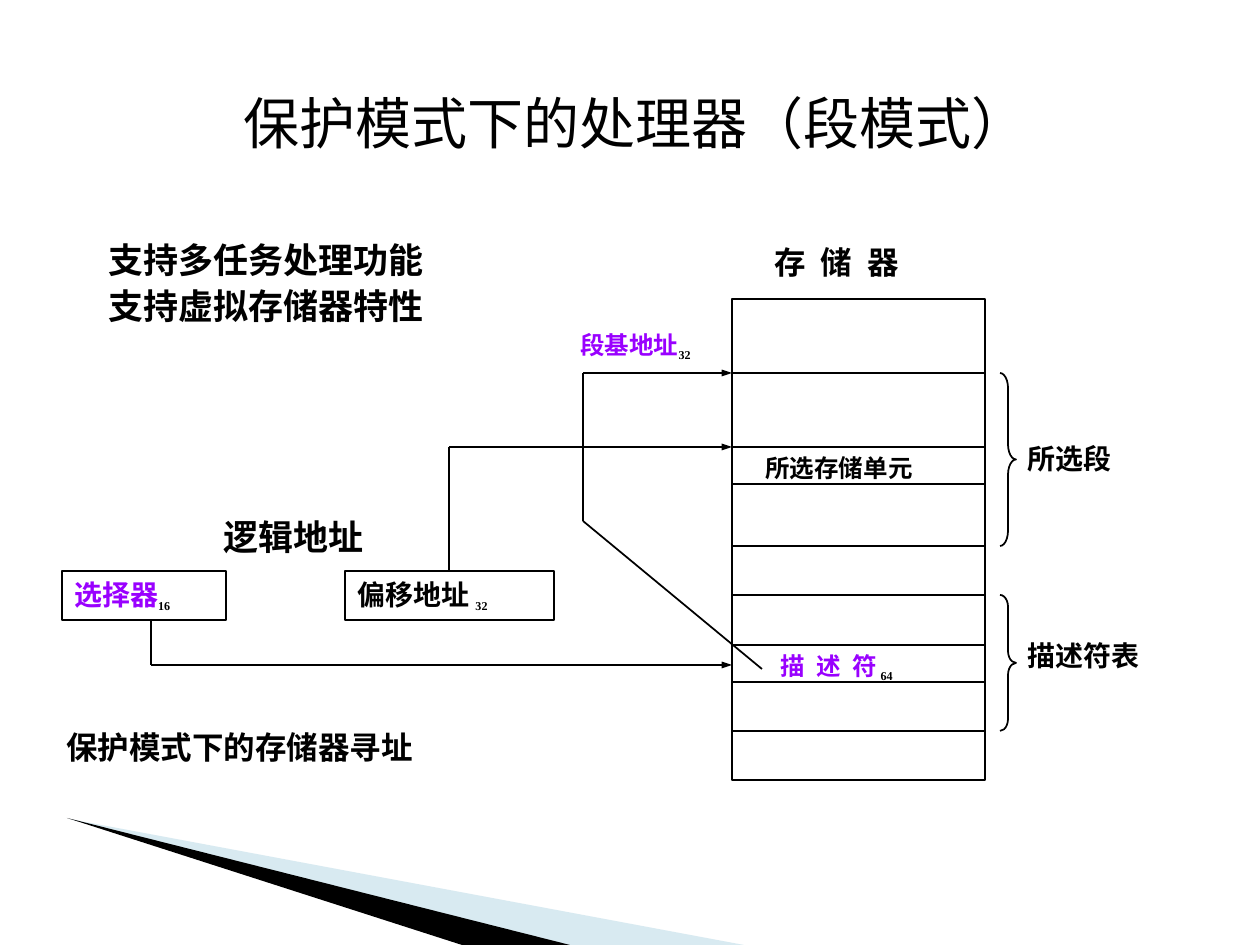
from pptx import Presentation
from pptx.dml.color import RGBColor
from pptx.enum.shapes import MSO_CONNECTOR, MSO_SHAPE
from pptx.enum.text import MSO_ANCHOR, MSO_AUTO_SIZE, PP_ALIGN
from pptx.oxml.ns import qn
from pptx.util import Inches, Pt
from lxml import etree

STRAIGHT = MSO_CONNECTOR.STRAIGHT
RECT, BRACE = MSO_SHAPE.RECTANGLE, MSO_SHAPE.RIGHT_BRACE
TOP, MIDDLE = MSO_ANCHOR.TOP, MSO_ANCHOR.MIDDLE
NO_FIT = MSO_AUTO_SIZE.NONE
LEFT = PP_ALIGN.LEFT

BLACK, PURPLE, PALE = "000000", "9900FF", "9FCBDC"
SANS, SANS_JP, SERIF = "Noto Sans CJK SC", "Noto Sans CJK JP", "Times New Roman"
SCALE = Inches(10) / 1260


def px(n):
    return round(n * SCALE)


def color(value):
    return RGBColor.from_string(value)


class Deck:
    def __init__(self):
        self.prs = Presentation()
        self.prs.slide_width, self.prs.slide_height = px(1260), px(945)
        self.s = self.prs.slides.add_slide(self.prs.slide_layouts[5])

    def style(self, r, size, fill=BLACK, font=SERIF, bold=True):
        r.font.size, r.font.bold, r.font.name = Pt(size), bold, font
        r.font.color.rgb = color(fill)
        ea = etree.SubElement(r.font._element, qn("a:ea"))
        ea.set("typeface", SANS if font == SERIF else font)

    def frame(self, sp, wrap=True, anchor=TOP):
        tf = sp.text_frame
        tf.word_wrap, tf.auto_size, tf.vertical_anchor = wrap, NO_FIT, anchor
        return tf

    def title(self, text, box):
        sp = self.s.shapes.title
        sp.left, sp.top, sp.width, sp.height = map(px, box)
        tf = self.frame(sp, wrap=False)
        tf.text = text
        p = tf.paragraphs[0]
        p.alignment = LEFT
        self.style(p.runs[0], 32, font=SANS, bold=False)

    def text(self, lines, box, size, fill=BLACK, font=SERIF, sub=None,
             spread=False, spacing=None, sp=None):
        sp = sp or self.s.shapes.add_textbox(*map(px, box))
        tf = self.frame(sp)
        tf.text = lines
        for p in tf.paragraphs:
            p.alignment, p.line_spacing = LEFT, spacing
            r = p.runs[0]
            self.style(r, size, fill, font)
            if spread:
                r.font._element.set("spc", str(round(size * 12.5)))
        if sub:
            r = tf.paragraphs[0].add_run()
            r.text = sub
            self.style(r, 12)
            r.font._element.set("baseline", "-25000")

    def shape(self, kind, box, width):
        sp = self.s.shapes.add_shape(kind, *map(px, box))
        sp.shadow.inherit = False
        sp.fill.background()
        sp.line.color.rgb, sp.line.width = color(BLACK), Pt(width)
        return sp

    def register(self, label, bits, box, fill):
        self.text(label, box, 16, fill, sub=bits, sp=self.shape(RECT, box, 1))

    def brace(self, top, bottom, bend):
        sp = self.shape(BRACE, (1000, top, 16, bottom - top), 1)
        sp.adjustments[0] = bend

    def route(self, *points, arrow=False):
        for start, end in zip(points, points[1:]):
            cx = self.s.shapes.add_connector(STRAIGHT, *map(px, start + end))
            cx.line.color.rgb, cx.line.width = color(BLACK), Pt(1)
            etree.SubElement(cx._element.spPr, qn("a:effectLst"))
        if arrow:
            tail = etree.SubElement(cx.line._get_or_add_ln(), qn("a:tailEnd"))
            tail.set("type", "triangle")
            tail.set("w", "sm")
            tail.set("len", "med")

    def wedge(self, points, fill, alpha=100):
        fb = self.s.shapes.build_freeform(*points[0], scale=SCALE)
        fb.add_line_segments(points[1:], close=True)
        sp = fb.convert_to_shape()
        sp.shadow.inherit = False
        sp.fill.solid()
        sp.fill.fore_color.rgb = color(fill)
        sp.line.fill.background()
        if alpha < 100:
            clr = sp._element.spPr.find(".//" + qn("a:srgbClr"))
            etree.SubElement(clr, qn("a:alpha")).set("val", str(alpha * 1000))


def main():
    d = Deck()
    d.wedge([(69, 819), (744, 945), (569, 945)], PALE, 40)
    d.wedge([(67, 818), (570, 945), (462, 945)], BLACK)

    d.title("保护模式下的处理器（段模式）", (231, 82, 827, 81))
    d.text("支持多任务处理功能\n支持虚拟存储器特性", (96, 228, 368, 106), 20,
           font=SANS, spacing=1.1)
    d.text("保护模式下的存储器寻址", (54, 722, 596, 50), 18, font=SANS_JP)

    left, right = 732, 985
    d.shape(RECT, (left, 299, right - left, 481), 1.5)
    for y in (373, 447, 484, 546, 595, 645, 682, 731):
        d.route((left, y), (right, y))
    d.text("存 储 器", (762, 237, 223, 50), 18, spread=True)
    d.text("所选存储单元", (753, 447, 262, 43), 14)
    d.text("描 述 符", (768, 645, 188, 45), 14, PURPLE, sub="64", spread=True)

    d.brace(373, 546, 0.95)
    d.text("所选段", (1015, 435, 164, 47), 16)
    d.brace(595, 731, 0.75)
    d.text("描述符表", (1015, 632, 223, 47), 16)

    d.text("逻辑地址", (211, 509, 253, 55), 20)
    d.register("选择器", "16", (62, 571, 164, 49), PURPLE)
    d.register("偏移地址 ", "32", (345, 571, 209, 49), BLACK)
    d.text("段基地址", (568, 324, 194, 45), 14, PURPLE, sub="32")

    d.route((762, 669), (583, 521), (583, 373), (left, 373), arrow=True)
    d.route((449, 571), (449, 447), (left, 447), arrow=True)
    d.route((151, 620), (151, 665), (left, 665), arrow=True)
    d.prs.save("out.pptx")


if __name__ == "__main__":
    main()
